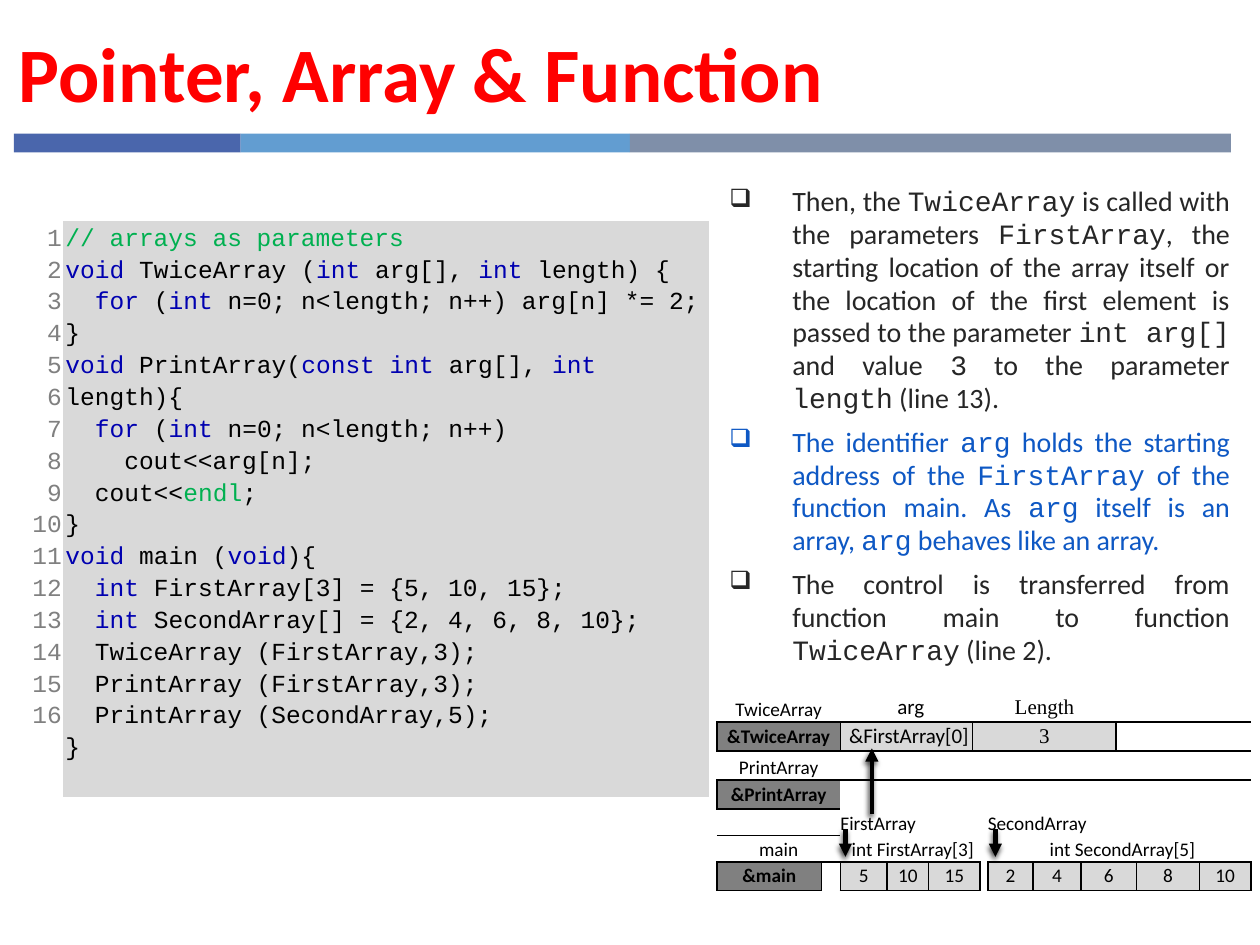
import dataclasses

import lxml.etree
import pptx
import pptx.dml.color
import pptx.enum.shapes
import pptx.enum.text
import pptx.oxml.ns
import pptx.util

ALIGN = pptx.enum.text.PP_ALIGN
ANCHOR = pptx.enum.text.MSO_ANCHOR
NO_STYLE = "{2D5ABB26-0587-4C30-8999-92F81FD0307C}"


@dataclasses.dataclass(frozen=True)
class Theme:
    sans: str = "Calibri"
    mono: str = "Courier New"
    serif: str = "Times New Roman"
    title_size: int = 44
    body_size: int = 16
    code_size: int = 14
    label_size: int = 12
    cell_size: int = 11
    black: str = "000000"
    title: str = "FF0000"
    body: str = "262626"
    accent: str = "0E58C4"
    keyword: str = "0000B0"
    comment: str = "00B050"
    dark: str = "808080"
    light: str = "D9D9D9"
    bars: tuple = ("4A66AC", "629DD1", "7F8FA9")


THEME = Theme()

# Backticks enclose the spans set in code type.
POINTS = [
    ("Then, the `TwiceArray` is called with the parameters `FirstArray`, the starting "
     "location of the array itself or the location of the first element is passed to the "
     "parameter `int arg[] `and value `3` to the parameter `length` (line 13). ", THEME.body),
    ("The identifier `arg` holds the starting address of the `FirstArray` of the function "
     "main. As `arg` itself is an array, `arg` behaves like an array. ", THEME.accent),
    ("The control is transferred from function main to function `TwiceArray` (line 2).",
     THEME.body),
]

# Backticks enclose the highlighted spans.
CODE = """`// arrays as parameters`
`void `TwiceArray (`int `arg[], `int` length) {
  `for` (`int` n=0; n<length; n++) arg[n] *= 2;
}
`void `PrintArray(`const int `arg[], `int` length){
  `for` (`int` n=0; n<length; n++)
    cout<<arg[n];
  cout<<`endl`;
}
`void` main (`void`){
  `int `FirstArray[3] = {5, 10, 15};
  `int `SecondArray[] = {2, 4, 6, 8, 10};
  TwiceArray (FirstArray,3);
  PrintArray (FirstArray,3);
  PrintArray (SecondArray,5);
}""".split("\n")

MEMORY_COLUMNS = [8.3, 1.5, .4, 3.3, 3.3, 3.5, .3, .3, .6, .5, 3.1, 3.8, 2.5, .3, 1.6, 5, 4.1]
MEMORY_ROWS = [2.3, 2.3, 2.3, 2.3, 2.1, 2.1, 2.3]

# row, column, columns spanned, text, look ("dark", "light" or the edges drawn)
MEMORY_CELLS = [
    (0, 0, 2, "TwiceArray", "B"), (0, 2, 5, "\u00a0arg", "B"), (0, 7, 6, "Length", "B"),
    (0, 13, 4, "", ""),
    (1, 0, 2, "&TwiceArray", "dark"), (1, 2, 4, "\u00a0&FirstArray[0]", "light"),
    (1, 6, 8, "3", "light"), (1, 14, 3, "", ""),
    (2, 0, 2, "PrintArray", "TB"), (2, 2, 15, "", "TB"),
    (3, 0, 2, "&PrintArray", "dark"), (3, 2, 15, "", ""),
    (4, 0, 2, "", "B"), (4, 2, 6, "FirstArray", ""), (4, 9, 8, "SecondArray", ""),
    (5, 0, 2, "main", "B"), (5, 3, 5, "int FirstArray[3]", "B"),
    (5, 10, 7, "int SecondArray[5]", "B"),
    (6, 0, 1, "&main", "dark"),
    (6, 2, 2, "5", "light"), (6, 4, 1, "10", "light"), (6, 5, 3, "15", "light"),
    (6, 9, 2, "2", "light"), (6, 11, 1, "4", "light"), (6, 12, 3, "6", "light"),
    (6, 15, 1, "8", "light"), (6, 16, 1, "10", "light"),
]


def grid(*steps):
    """Lengths on a square grid of 100 columns by 75 rows."""
    return [pptx.util.Inches(step / 10) for step in steps]


def color(value):
    return pptx.dml.color.RGBColor.from_string(value)


def add_xml(parent, tag, **attributes):
    return lxml.etree.SubElement(parent, pptx.oxml.ns.qn(tag), attributes)


def add_span(para, text, size, font, ink, bold=False):
    span = para.add_run()
    span.text = text
    span.font.size = pptx.util.Pt(size)
    span.font.name = font
    span.font.bold = bold
    span.font.color.rgb = color(ink)


def marked_spans(text):
    """Yield (text, is_marked) for the parts between backticks."""
    for index, part in enumerate(text.split("`")):
        if part:
            yield part, index % 2 == 1


def next_para(frame, index):
    return frame.add_paragraph() if index else frame.paragraphs[0]


def add_box(page, *place):
    frame = page.shapes.add_textbox(*grid(*place)).text_frame
    frame.word_wrap = True
    return frame


def add_title(page, text):
    frame = add_box(page, .5, 1.2, 71.6, 9)
    frame.vertical_anchor = ANCHOR.MIDDLE
    add_span(frame.paragraphs[0], text, THEME.title_size, THEME.sans, THEME.title, True)


def add_bars(page):
    left = 1.1
    for width, fill in zip((18, 30.9, 47.7), THEME.bars):
        bar = page.shapes.add_shape(pptx.enum.shapes.MSO_SHAPE.RECTANGLE,
                                    *grid(left, 10.6, width, 1.5))
        bar.shadow.inherit = False
        bar.fill.solid()
        bar.fill.fore_color.rgb = color(fill)
        bar.line.fill.background()
        left += width


def add_points(page):
    frame = add_box(page, 56.9, 14.2, 41.7, 40.6)
    for index, (text, ink) in enumerate(POINTS):
        para = next_para(frame, index)
        para.alignment = ALIGN.JUSTIFY
        para.line_spacing = 0.98
        para.space_after = pptx.util.Pt(6)
        props = para._p.get_or_add_pPr()
        indent = pptx.util.Inches(0.5)
        props.set("marL", str(indent))
        props.set("indent", str(-indent))
        add_xml(props, "a:buSzPct", val="90000")
        add_xml(props, "a:buChar", char="❑")
        for part, is_code in marked_spans(text):
            add_span(para, part, THEME.body_size, THEME.mono if is_code else THEME.sans, ink)


def add_plain_table(page, left, top, columns, rows):
    holder = page.shapes.add_table(len(rows), len(columns),
                                   *grid(left, top, sum(columns), sum(rows)))
    table = holder.table
    table.first_row = table.horz_banding = False
    table._tbl.tblPr.find(pptx.oxml.ns.qn("a:tableStyleId")).text = NO_STYLE
    for column, width in zip(table.columns, grid(*columns)):
        column.width = width
    for row, height in zip(table.rows, grid(*rows)):
        row.height = height
    return table


def set_margins(cell, left, other):
    cell.margin_left = pptx.util.Inches(left)
    cell.margin_right = cell.margin_top = cell.margin_bottom = pptx.util.Inches(other)


def fill_cell(cell, fill):
    cell.fill.solid()
    cell.fill.fore_color.rgb = color(fill)


def add_code(page):
    table = add_plain_table(page, 1.4, 17.5, (3.6, 51.3), (41.6,))
    numbers, listing = table.cell(0, 0), table.cell(0, 1)
    set_margins(numbers, 0.01, 0.01)
    set_margins(listing, 0.02, 0.01)
    fill_cell(listing, THEME.light)
    count = numbers.text_frame.paragraphs[0]
    count.alignment = ALIGN.RIGHT
    count.line_spacing = 1.15
    for index, line in enumerate(CODE):
        if index:
            count.add_line_break()
        add_span(count, str(index + 1), THEME.code_size, THEME.mono, THEME.dark)
        para = next_para(listing.text_frame, index)
        para.line_spacing = 1.15
        for part, is_marked in marked_spans(line):
            green = part == "endl" or part.startswith("//")
            marked_ink = THEME.comment if green else THEME.keyword
            add_span(para, part, THEME.code_size, THEME.mono,
                     marked_ink if is_marked else THEME.black)


def draw_edges(cell, edges):
    props = cell._tc.get_or_add_tcPr()
    for edge in edges:
        line = add_xml(props, "a:ln" + edge, w=str(pptx.util.Pt(1)))
        add_xml(add_xml(line, "a:solidFill"), "a:srgbClr", val=THEME.black)


def add_memory(page):
    table = add_plain_table(page, 56.9, 55, MEMORY_COLUMNS, MEMORY_ROWS)
    for cell in table.iter_cells():
        set_margins(cell, 0, 0)
    for row, column, span, text, look in MEMORY_CELLS:
        filled = look in ("dark", "light")
        last = column + span - 1
        for step in range(column, last + 1):
            sides = ("L" if step == column else "") + ("R" if step == last else "") + "TB"
            draw_edges(table.cell(row, step), sides if filled else look)
        cell = table.cell(row, column)
        if span > 1:
            cell.merge(table.cell(row, last))
        if filled:
            fill_cell(cell, getattr(THEME, look))
        if not text:
            continue
        is_label = row < 2 and column > 0
        cell.vertical_anchor = ANCHOR.MIDDLE if filled or is_label else ANCHOR.BOTTOM
        para = cell.text_frame.paragraphs[0]
        para.alignment = ALIGN.LEFT if row == 4 else ALIGN.CENTER
        add_span(para, text, THEME.label_size if is_label else THEME.cell_size,
                 THEME.serif if is_label and column > 5 else THEME.sans,
                 THEME.black, look == "dark")
    for cell in table.iter_cells():
        para = cell.text_frame.paragraphs[0]
        if not para.runs:
            add_xml(para._p, "a:endParaRPr", sz=str(THEME.cell_size * 100))


def add_arrow(page, column, start, end):
    arrow = page.shapes.add_connector(pptx.enum.shapes.MSO_CONNECTOR.STRAIGHT,
                                      *grid(column, start, column, end))
    arrow.line.width = pptx.util.Pt(2.5)
    arrow.line.color.rgb = color(THEME.black)
    add_xml(arrow.line._get_or_add_ln(), "a:tailEnd", type="triangle")
    effects = add_xml(arrow._element.spPr, "a:effectLst")
    shadow = add_xml(effects, "a:outerShdw", blurRad=str(pptx.util.Pt(3)),
                     dist=str(pptx.util.Pt(2)), dir=str(110 * 60000))
    add_xml(add_xml(shadow, "a:srgbClr", val=THEME.black), "a:alpha", val="75000")


def main():
    deck = pptx.Presentation()
    deck.slide_width, deck.slide_height = grid(100, 75)
    page = deck.slides.add_slide(deck.slide_layouts[6])
    add_bars(page)
    add_points(page)
    add_code(page)
    add_memory(page)
    for column, start, end in ((67.1, 65.8, 68), (79, 65.8, 68), (69.2, 64.6, 59.4)):
        add_arrow(page, column, start, end)
    add_title(page, "Pointer, Array & Function")
    deck.save("out.pptx")


if __name__ == "__main__":
    main()
